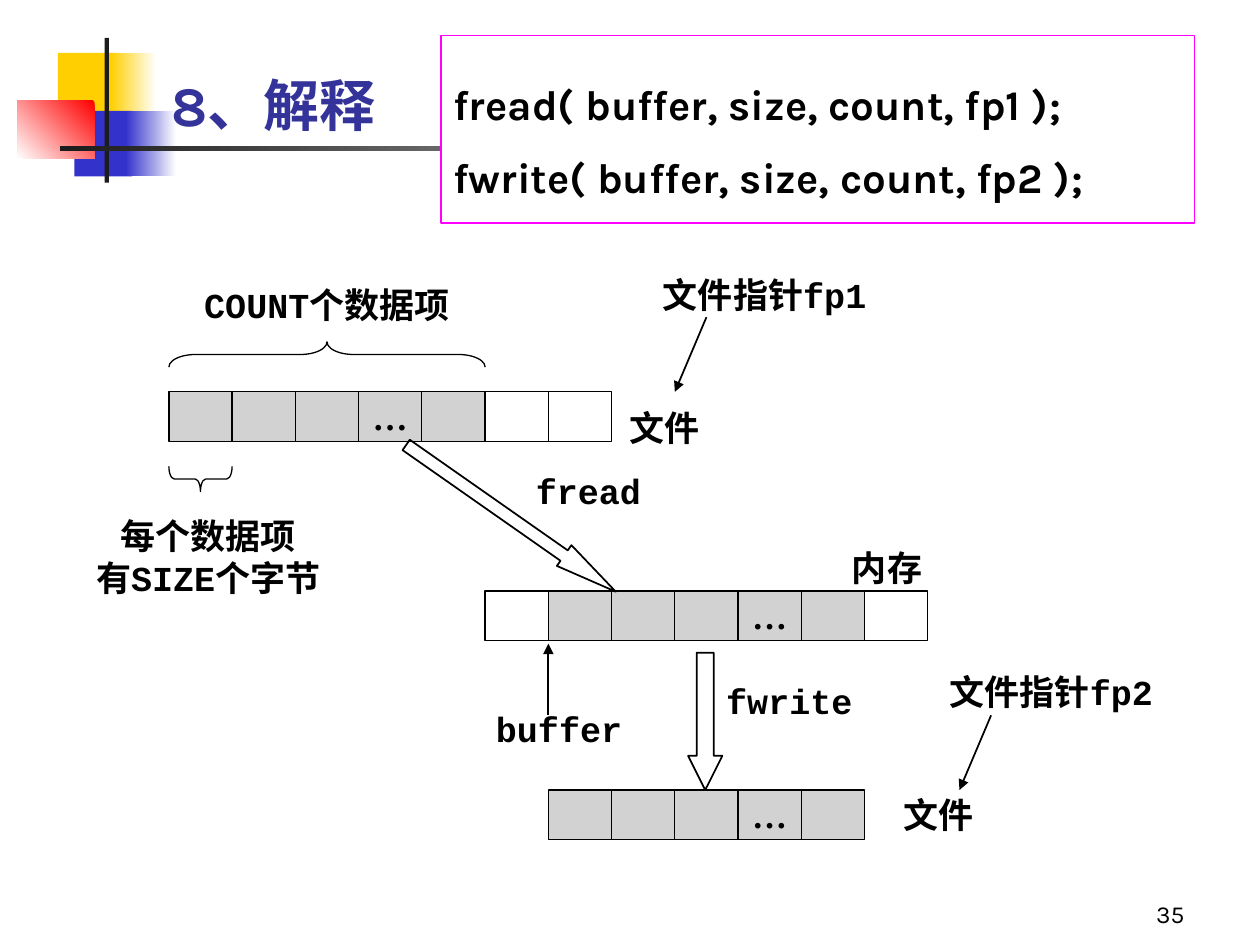
from lxml.etree import SubElement
from pptx import Presentation
from pptx.dml.color import RGBColor
from pptx.enum.shapes import MSO_CONNECTOR, MSO_SHAPE
from pptx.enum.text import MSO_ANCHOR, MSO_AUTO_SIZE, PP_ALIGN
from pptx.oxml.ns import qn
from pptx.util import Inches, Pt

WIDTH, HEIGHT = 10, 7.5
LEFT, TOP = 1.34, 3.11  # corner of the first data cell
COLUMN, ROW = 2.51 / 5, 1.58 / 4
COLORS = {
    "yellow": "FFCF01", "blue": "3333CC", "red": "FF0000", "dark": "1C1C1C",
    "white": "FFFFFF", "title": "333399", "black": "000000",
    "cell": "C0C0C0", "frame": "FF00FF",
}
SONG, MONO, SANS = "Times New Roman", "Courier New", "Karla"


def share(x, y, w, h):
    """Area given in percent of the slide's width and height."""
    return [Inches(v * side / 100) for v, side in zip((x, y, w, h), (WIDTH, HEIGHT) * 2)]


def grid(column, row, columns, rows):
    """Area given in cells, counted from the first data cell."""
    return [Inches(LEFT + column * COLUMN), Inches(TOP + row * ROW),
            Inches(columns * COLUMN), Inches(rows * ROW)]


class Board:
    """Holds the style and the current slide."""

    def __init__(self, slide):
        self.slide = slide
        self.shapes = slide.shapes

    def color(self, name):
        return RGBColor.from_string(COLORS[name])

    def shape(self, kind, area, fill=None, line=None, weight=0.75, opacity=None):
        shape = self.shapes.add_shape(kind, *area)
        shape.shadow.inherit = False
        if fill:
            shape.fill.solid()
            shape.fill.fore_color.rgb = self.color(fill)
        else:
            shape.fill.background()
        if opacity:
            tint = shape._element.spPr.find(qn("a:solidFill"))[0]
            SubElement(tint, qn("a:alpha"), val=str(opacity * 1000))
        if line:
            shape.line.color.rgb = self.color(line)
            shape.line.width = Pt(weight)
        else:
            shape.line.fill.background()
        return shape

    def fade(self, area, start, end, angle=180):
        block = self.shape(MSO_SHAPE.RECTANGLE, area)
        block.fill.gradient()
        block.fill.gradient_angle = angle
        for stop, name in zip(block.fill.gradient_stops, (start, end)):
            stop.color.rgb = self.color(name)

    def set_text(self, holder, paragraphs, size=20, color="black", bold=True,
                 align=PP_ALIGN.CENTER, anchor=MSO_ANCHOR.MIDDLE, inset=(0.06, 0.03),
                 wrap=False, spacing=None):
        """Fill a holder with paragraphs, each a list of (text, font) runs."""
        frame = holder.text_frame
        frame.auto_size = MSO_AUTO_SIZE.NONE
        frame.word_wrap = wrap
        frame.vertical_anchor = anchor
        frame.margin_left = frame.margin_right = Inches(inset[0])
        frame.margin_top = frame.margin_bottom = Inches(inset[1])
        for index, runs in enumerate(paragraphs):
            paragraph = frame.add_paragraph() if index else frame.paragraphs[0]
            paragraph.alignment = align
            if spacing:
                paragraph.line_spacing = spacing
            for text, font in runs:
                run = paragraph.add_run()
                run.text = text
                run.font.name = font
                run.font.size = Pt(size)
                run.font.bold = bold
                run.font.color.rgb = self.color(color)

    def label(self, area, *paragraphs, **style):
        self.set_text(self.shapes.add_textbox(*area), paragraphs, **style)

    def title(self, area, text):
        title = self.shapes.title
        self.shapes._spTree.append(title._element)  # in front of the ornament
        title.left, title.top, title.width, title.height = area
        self.set_text(title, [[(text, SANS)]], size=32, color="title", align=PP_ALIGN.LEFT,
                      anchor=MSO_ANCHOR.BOTTOM, inset=(0.1, 0.05), wrap=True)

    def cells(self, column, row, pattern):
        """Draw a strip: '#' used cell, '…' used cell with dots, '_' free cell."""
        for offset, mark in enumerate(pattern):
            used = mark != "_"
            cell = self.shape(MSO_SHAPE.RECTANGLE, grid(column + offset, row, 1, 1),
                              "cell" if used else None, "black", opacity=70 if used else None)
            if mark == "…":
                self.set_text(cell, [[(mark, SONG)]], inset=(0, 0), wrap=True)

    def brace(self, column, row, span, rotation, curve):
        """Draw a brace around a centre, spanning a number of columns."""
        depth, length = 0.4, span * COLUMN / ROW
        area = grid(column - depth / 2, row - length / 2, depth, length)
        brace = self.shape(MSO_SHAPE.LEFT_BRACE, area, line="black")
        brace.rotation = rotation
        brace.adjustments[0] = curve

    def block_arrow(self, area, head, rotation=0):
        arrow = self.shape(MSO_SHAPE.DOWN_ARROW, area, line="black", weight=1)
        arrow.adjustments[0], arrow.adjustments[1] = 0.5, head
        arrow.rotation = rotation

    def pointer(self, start, end):
        ends = grid(*start, 0, 0)[:2] + grid(*end, 0, 0)[:2]
        pointer = self.shapes.add_connector(MSO_CONNECTOR.STRAIGHT, *ends)
        pointer.line.color.rgb = self.color("black")
        pointer.line.width = Pt(1)
        outline = pointer._element.spPr.find(qn("a:ln"))
        SubElement(outline, qn("a:tailEnd"), type="triangle")
        SubElement(pointer._element.spPr, qn("a:effectLst"))


def draw_ornament(board):
    bar = MSO_SHAPE.RECTANGLE
    board.shape(bar, share(4.6, 5.6, 4.8, 6.93), "yellow")
    board.fade(share(8.8, 5.6, 3.6, 6.93), "white", "yellow")
    board.shape(bar, share(5.9, 11.73, 4.6, 6.93), "blue")
    board.fade(share(10, 11.73, 4, 6.93), "white", "blue")
    board.fade(share(1.4, 10.67, 6.1, 6.13), "red", "white", angle=225)
    board.shape(bar, share(8.3, 4, 0.35, 15.33), "dark")
    board.fade(share(4.8, 15.5, 90, 0.45), "white", "dark")


def draw_diagram(board):
    board.cells(0, 0, "###…#__")
    board.cells(5, 4, "_###…#_")
    board.cells(6, 8, "###…#")

    board.brace(0.5, 1.75, 1, 270, 0.21)
    board.brace(2.5, -0.75, 5, 90, 1.05)
    board.label(grid(-1.49, 2.13, 4.23, 2.35), [("每个数据项", SONG)],
                [("有", SONG), ("SIZE", MONO), ("个字节", SONG)])
    board.label(grid(0, -2.5, 5, 1.5), [("COUNT", MONO), ("个数据项", SONG)], wrap=True)

    for area, text, font in (
        ((4.87, 6.28, 2.6, 0.96), "buffer", MONO),
        ((7, 0, 1.67, 1.44), "文件", SONG),
        ((10.52, 2.81, 1.67, 1.42), "内存", SONG),
        ((5.51, 1.49, 2.25, 1), "fread", MONO),
        ((8.51, 5.49, 2.6, 1.44), "fwrite", MONO),
        ((7.48, -2.48, 3.88, 1.04), "文件指针fp1", MONO),
        ((11.33, 8, 1.67, 1), "文件", SONG),
        ((12.01, 5.49, 3.88, 1.04), "文件指针fp2", MONO),
    ):
        board.label(grid(*area), [(text, font)])

    board.pointer((6, 6.5), (6, 5.06))
    board.pointer((8.5, -1.5), (8, 0))
    board.pointer((13, 6.5), (12.5, 8))
    board.block_arrow(grid(5.21, -0.03, 0.4, 5.14), 2.49, rotation=305)
    board.block_arrow(grid(8.21, 5.24, 0.54, 2.76), 1)


def main():
    deck = Presentation()
    deck.slide_width, deck.slide_height = Inches(WIDTH), Inches(HEIGHT)
    board = Board(deck.slides.add_slide(deck.slide_layouts[5]))
    draw_ornament(board)
    board.title(share(12.6, -1.47, 85.2, 16.67), "8、解释")
    draw_diagram(board)
    calls = board.shape(MSO_SHAPE.RECTANGLE, share(35, 3.73, 59.8, 19.87), "white", "frame")
    board.set_text(calls, [[("fread( buffer, size, count, fp1 );", SANS)],
                           [("fwrite( buffer, size, count, fp2 );", SANS)]],
                   size=24, align=PP_ALIGN.LEFT, inset=(0.1, 0.05), spacing=1.45)
    board.label(share(74.2, 92.27, 20.8, 6.67), [("35", SANS)], size=14, bold=False,
                align=PP_ALIGN.RIGHT, anchor=MSO_ANCHOR.BOTTOM, inset=(0.1, 0.05), wrap=True)
    deck.save("out.pptx")


if __name__ == "__main__":
    main()
